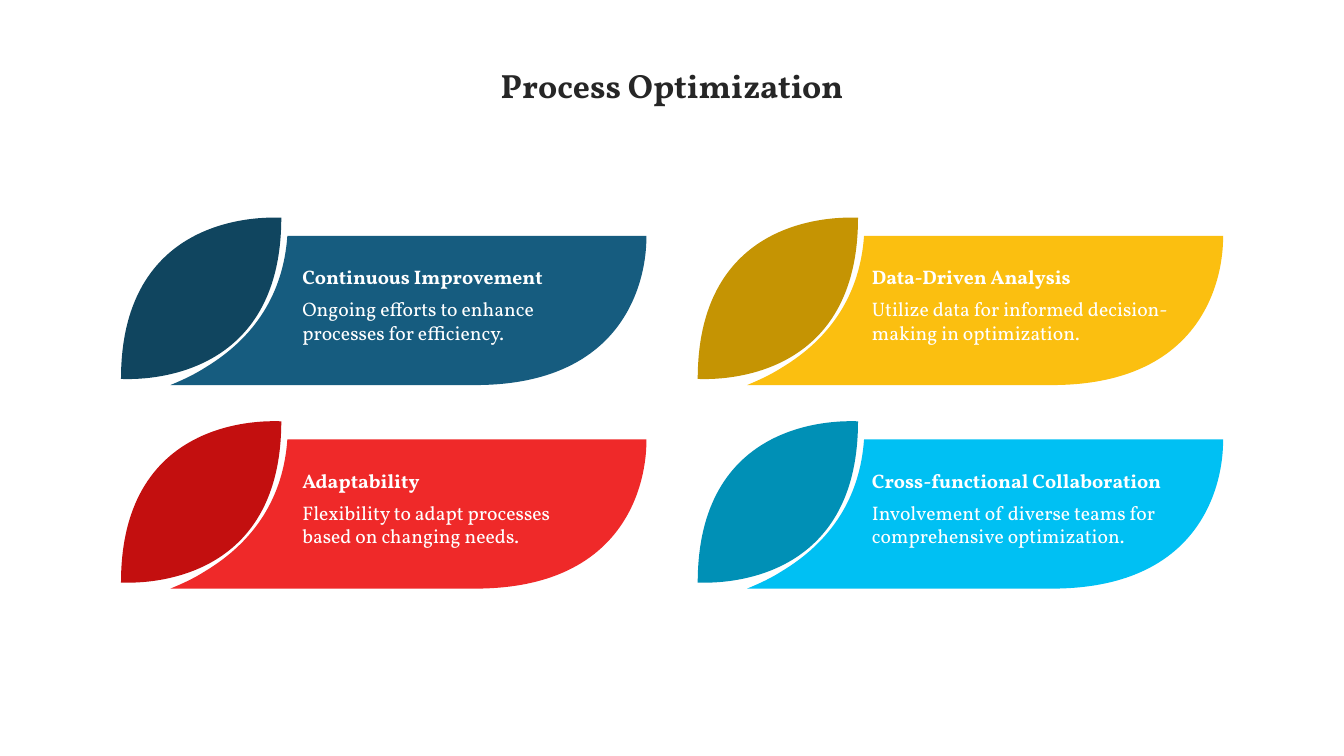
"""Build the Process Optimization slide with four leaf cards."""
from dataclasses import dataclass
from typing import Any

from lxml.etree import SubElement
from pptx import Presentation
from pptx.dml.color import RGBColor
from pptx.enum.text import MSO_ANCHOR, MSO_AUTO_SIZE, PP_ALIGN
from pptx.oxml.ns import qn
from pptx.shapes.group import GroupShape
from pptx.slide import Slide
from pptx.util import Inches, Pt

Point = tuple[float, float]
Outline = list[list[Point]]

FONT = "Vollkorn"
WHITE = "FFFFFF"
COLUMN_PITCH = 5.72
ROW_PITCH = 2.02
TEXT_LEFTS = (2.9, 8.55)
TEXT_WIDTHS = (3.06, 3.24)

BANNER: Outline = [
    [(2.03, 3.65)],
    [(2.53, 3.35), (2.81, 2.91), (2.85, 2.34)],
    [(6.41, 2.34)],
    [(6.41, 2.34), (6.49, 3.82), (4.71, 3.82)],
    [(1.69, 3.82)],
    [(1.81, 3.77), (1.92, 3.72), (2.03, 3.65)],
]
LEAF: Outline = [
    [(1.2, 3.76)],
    [(1.2, 2.06), (2.71, 2.16), (2.79, 2.16)],
    [(2.79, 3.86), (1.27, 3.76), (1.2, 3.76)],
]


@dataclass(frozen=True)
class Card:
    """One card of the grid."""

    heading: str
    detail: str
    banner_color: str
    leaf_color: str


CARDS = [
    Card("Continuous Improvement",
         "Ongoing efforts to enhance processes for efficiency.",
         "165C7F", "10455F"),
    Card("Data-Driven Analysis",
         "Utilize data for informed decision-making in optimization.",
         "FBBF10", "C59403"),
    Card("Adaptability",
         "Flexibility to adapt processes based on changing needs.",
         "EF2929", "C30F0F"),
    Card("Cross-functional Collaboration",
         "Involvement of diverse teams for comprehensive optimization.",
         "00C0F3", "0090B6"),
]


def color(value: str) -> RGBColor:
    """Turn a hex string into a colour."""
    return RGBColor.from_string(value)


def apply(target: Any, values: dict[str, Any]) -> None:
    """Set every attribute in the dict on the target."""
    for name, value in values.items():
        setattr(target, name, value)


def write(para: Any, text: str, size: int, hex_color: str, bold: bool) -> None:
    """Put one formatted run into a paragraph."""
    span = para.add_run()
    span.text = text
    apply(span.font, {"name": FONT, "size": Pt(size), "bold": bold})
    span.font.color.rgb = color(hex_color)


def add_outline(group: GroupShape, outline: Outline, column: int,
                row: int, hex_color: str) -> None:
    """Draw a filled outline of lines and cubic curves in its grid cell."""
    segments = [[(Inches(x + column * COLUMN_PITCH),
                  Inches(y + row * ROW_PITCH)) for x, y in segment]
                for segment in outline]
    ends = [segment[-1] for segment in segments]
    builder = group.shapes.build_freeform(*ends[0], scale=1.0)
    builder.add_line_segments(ends[1:], close=True)
    shape = builder.convert_to_shape()
    lines = list(shape.element.iter(qn("a:lnTo")))
    for line, segment in zip(lines, segments[1:]):
        if len(segment) == 3:
            line.clear()
            line.tag = qn("a:cubicBezTo")
            for x, y in segment:
                SubElement(line, qn("a:pt"), x=str(x - shape.left),
                           y=str(y - shape.top))
    shape.shadow.inherit = False
    shape.fill.solid()
    shape.fill.fore_color.rgb = color(hex_color)
    shape.line.fill.background()


def add_card_text(group: GroupShape, card: Card, column: int, row: int) -> None:
    """Add the heading and detail of a card."""
    box = group.shapes.add_textbox(
        Inches(TEXT_LEFTS[column]), Inches(2.58 + row * ROW_PITCH),
        Inches(TEXT_WIDTHS[column]), Inches(0.89))
    frame = box.text_frame
    apply(frame, {"word_wrap": True,
                  "auto_size": MSO_AUTO_SIZE.SHAPE_TO_FIT_TEXT})
    write(frame.paragraphs[0], card.heading, 14, WHITE, True)
    para = frame.add_paragraph()
    para.space_before = Pt(6)
    write(para, card.detail, 14, WHITE, False)


def add_title(page: Slide, text: str) -> None:
    """Place and format the title placeholder."""
    title = page.shapes.title
    apply(title, {"left": Inches(0), "top": Inches(0.59),
                  "width": Inches(13.33), "height": Inches(0.5)})
    frame = title.text_frame
    apply(frame, {"word_wrap": True, "vertical_anchor": MSO_ANCHOR.TOP,
                  "auto_size": MSO_AUTO_SIZE.SHAPE_TO_FIT_TEXT})
    para = frame.paragraphs[0]
    para.alignment = PP_ALIGN.CENTER
    write(para, text, 24, "262626", True)


def main() -> None:
    """Build and save the deck."""
    deck = Presentation()
    apply(deck, {"slide_width": Inches(13.33), "slide_height": Inches(7.5)})
    page = deck.slides.add_slide(deck.slide_layouts[5])
    add_title(page, "Process Optimization")
    group = page.shapes.add_group_shape()
    cells = [(card, *divmod(index, 2)) for index, card in enumerate(CARDS)]
    for card, row, column in cells:
        add_outline(group, BANNER, column, row, card.banner_color)
        add_outline(group, LEAF, column, row, card.leaf_color)
    for card, row, column in cells:
        add_card_text(group, card, column, row)
    deck.save("out.pptx")


if __name__ == "__main__":
    main()
